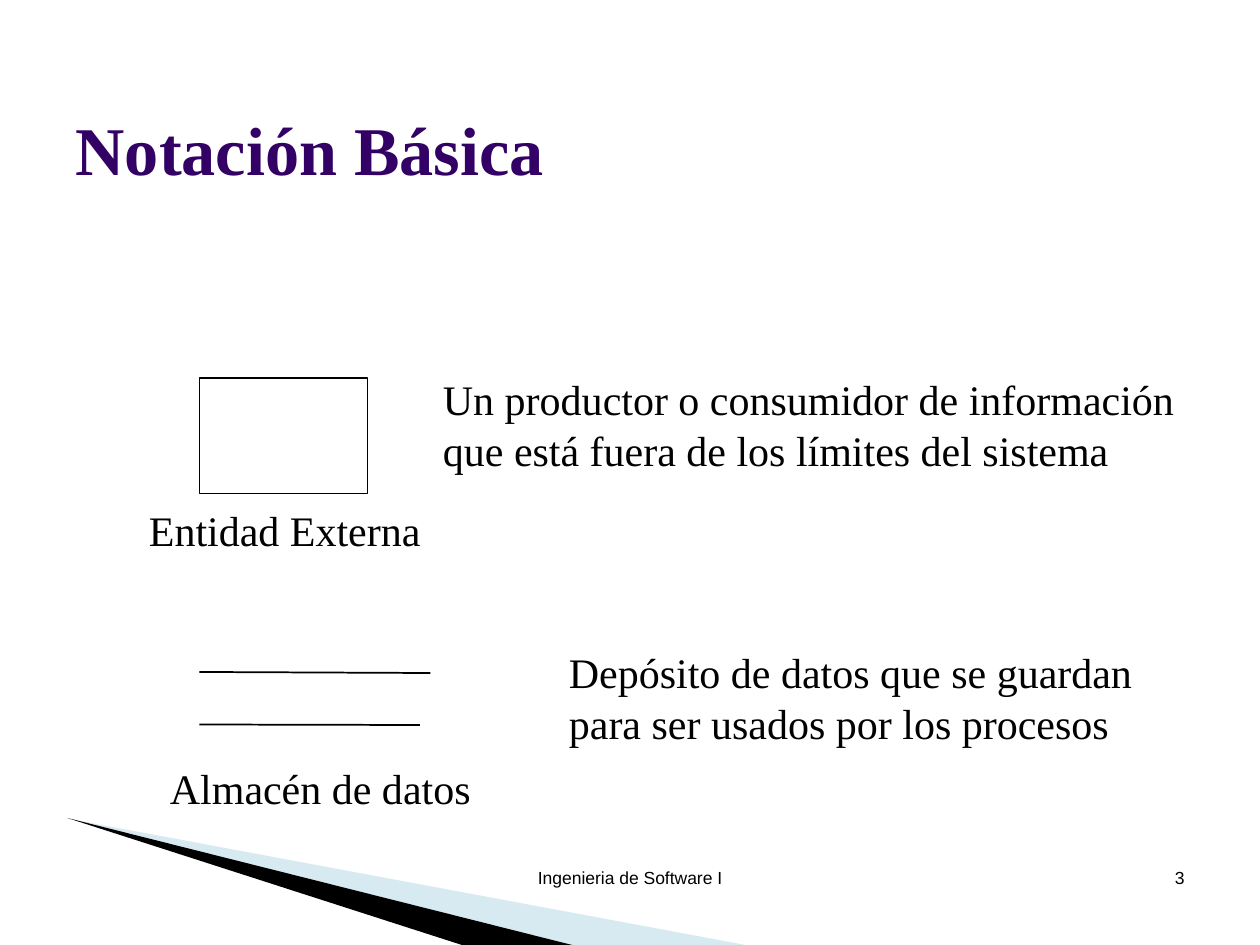
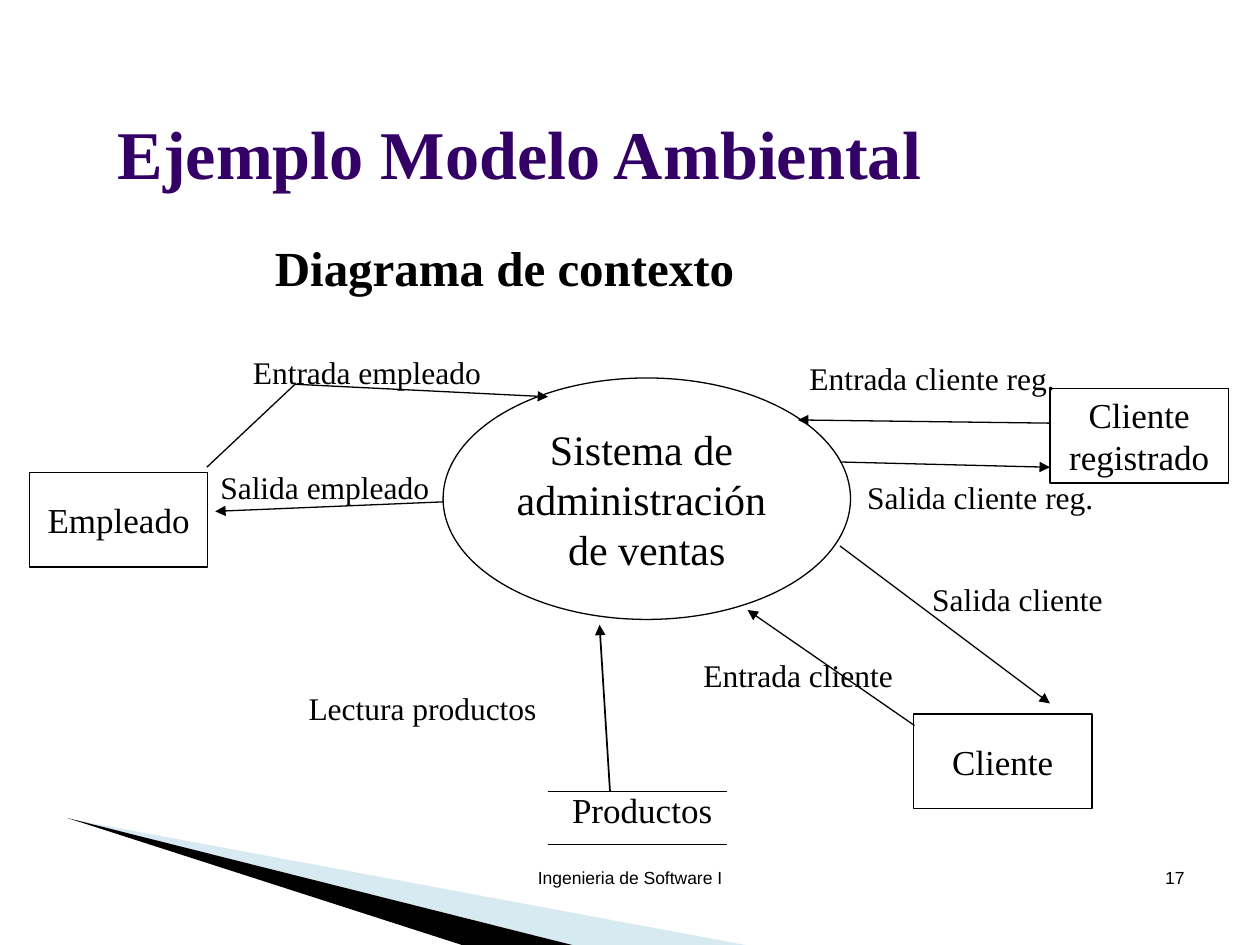
import pptx
import pptx.util
import pptx.dml.color
import pptx.enum.shapes
import pptx.enum.text
import pptx.oxml.ns
import lxml.etree

RGBColor = pptx.dml.color.RGBColor
SHAPE = pptx.enum.shapes.MSO_SHAPE
ALIGN = pptx.enum.text.PP_ALIGN
ANCHOR = pptx.enum.text.MSO_ANCHOR

BLACK = RGBColor(0x00, 0x00, 0x00)
PURPLE = RGBColor(0x33, 0x00, 0x66)
PALE_BLUE = RGBColor(0x9F, 0xCB, 0xDC)
SERIF, SANS = "Times New Roman", "Arial"
WIDTH, HEIGHT = pptx.util.Inches(10), pptx.util.Inches(7.5)
COLUMNS, ROWS = 120, 90
FOOTER = "Ingenieria de Software I"
BOX_SIZE = (17, 9)


def place(col, row):
    """Convert a grid column and row to lengths on the slide."""
    return round(col * WIDTH / COLUMNS), round(row * HEIGHT / ROWS)


def add_xml(parent, tag, **attributes):
    """Append a drawing element to parent."""
    return lxml.etree.SubElement(parent, pptx.oxml.ns.qn(tag), attributes)


def write(sp, text, size, font=SERIF, color=BLACK, bold=False, align=ALIGN.LEFT,
          anchor=ANCHOR.TOP, wrap=True):
    """Fill a shape with text in one format."""
    tf = sp.text_frame
    tf.text = text
    tf.word_wrap = wrap
    tf.auto_size = pptx.enum.text.MSO_AUTO_SIZE.NONE
    tf.vertical_anchor = anchor
    for p in tf.paragraphs:
        p.alignment = align
        for r in p.runs:
            r.font.name, r.font.size = font, pptx.util.Pt(size)
            r.font.bold = bold
            r.font.color.rgb = color


def add_text(s, text, col, row, cols, rows, size=24, **style):
    """Add a text box on the grid."""
    sp = s.shapes.add_textbox(*place(col, row), *place(cols, rows))
    write(sp, text, size, **style)


def add_outline(s, kind, col, row, cols, rows, text="", size=20, weight=0.75):
    """Add an unfilled shape with a black outline and centred text."""
    sp = s.shapes.add_shape(kind, *place(col, row), *place(cols, rows))
    sp.shadow.inherit = False
    sp.fill.background()
    set_line(sp, weight)
    if text:
        write(sp, text, size, align=ALIGN.CENTER, anchor=ANCHOR.MIDDLE, wrap=False)


def set_line(sp, weight, arrow=False):
    """Draw the line of a shape in black, with an arrowhead if asked."""
    sp.line.color.rgb = BLACK
    sp.line.width = pptx.util.Pt(weight)
    if arrow:
        ln = sp._element.spPr.find(pptx.oxml.ns.qn("a:ln"))
        add_xml(ln, "a:tailEnd", type="triangle")


def add_line(s, start, end, weight=0.75, arrow=False):
    """Add a straight line between two grid points."""
    straight = pptx.enum.shapes.MSO_CONNECTOR.STRAIGHT
    sp = s.shapes.add_connector(straight, *place(*start), *place(*end))
    set_line(sp, weight, arrow)
    add_xml(sp._element.spPr, "a:effectLst")


def add_outline_path(s, points, close):
    """Add a freeform through grid points."""
    start, *rest = [place(*point) for point in points]
    builder = s.shapes.build_freeform(*start)
    builder.add_line_segments(rest, close=close)
    sp = builder.convert_to_shape()
    sp.shadow.inherit = False
    return sp


def add_wedge(s, points, color, opacity=100):
    """Add one filled wedge of the corner decoration."""
    sp = add_outline_path(s, points, close=True)
    sp.fill.solid()
    sp.fill.fore_color.rgb = color
    sp.line.fill.background()
    if opacity < 100:
        fill = sp._element.spPr.find(pptx.oxml.ns.qn("a:solidFill"))
        add_xml(fill[0], "a:alpha", val=str(opacity * 1000))


def add_slide(prs, title, number, col, row, cols):
    """Add a slide with its title, corner wedges and footer."""
    s = prs.slides.add_slide(prs.slide_layouts[5])
    add_wedge(s, [(6.6, 78), (71, 90), (54.5, 90)], PALE_BLUE, 40)
    add_wedge(s, [(6.4, 77.9), (54.5, 90), (44, 90)], BLACK)
    add_text(s, FOOTER, 41, 82, 38, 6, 10, font=SANS, align=ALIGN.CENTER)
    add_text(s, number, 86, 82, 28, 6, 10, font=SANS, align=ALIGN.RIGHT)
    sp = s.shapes.title
    sp.left, sp.top = place(col, row)
    sp.width, sp.height = place(cols, 9)
    write(sp, title, 39, color=PURPLE, bold=True, anchor=ANCHOR.BOTTOM)
    return s


def add_notation(prs):
    """Build the slide with the basic notation."""
    s = add_slide(prs, "Notación Básica", "3", 6, 9.6, 99)
    add_outline(s, SHAPE.RECTANGLE, 19, 36, 16, 11, weight=1)
    add_line(s, (19, 64), (41, 64.1), 1)
    add_line(s, (19, 69), (40, 69.05), 1)
    for text, *box in [
        ("Entidad Externa", 13, 47.5, 33, 6),
        ("Un productor o consumidor de información que está fuera de los "
         "límites del sistema", 41, 35, 75, 10.8),
        ("Almacén de datos", 15, 72, 32, 6),
        ("Depósito de datos que se guardan\npara ser usados por los procesos",
         53, 61, 58, 10.8),
    ]:
        add_text(s, text, *box)


def add_context_diagram(prs):
    """Build the slide with the context diagram."""
    s = add_slide(prs, "Ejemplo Modelo Ambiental", "17", 10, 10, 102)
    add_text(s, "Diagrama de contexto", 25, 22, 55, 6.8, 28, bold=True)
    add_outline(s, SHAPE.OVAL, 42.2, 36, 38.8, 23,
                "Sistema de \nadministración \nde ventas", 24)
    for name, col, row in [("Empleado", 2.8, 45), ("Cliente", 87, 68),
                           ("Cliente\nregistrado", 100, 37)]:
        add_outline(s, SHAPE.RECTANGLE, col, row, *BOX_SIZE, name)
    for start, end in [
        ((100, 40.3), (76, 40)),
        ((80, 44), (100, 44.5)),
        ((80, 52), (100, 67)),
        ((87.1, 69.1), (71.2, 58.1)),
        ((42.2, 47.8), (20.5, 48.7)),
    ]:
        add_line(s, start, end, arrow=True)
    add_line(s, (58.1, 75.4), (57.1, 59.5), 1, arrow=True)
    entry = add_outline_path(s, [(19.7, 44.5), (28.1, 36.6), (52.2, 37.8)], close=False)
    entry.fill.background()
    set_line(entry, 0.75, arrow=True)
    for row in (75.4, 80.4):
        add_line(s, (52.2, row), (69.2, row))
    add_text(s, "Productos", 53.3, 74.5, 17, 5.3, 20)
    for label, col, row in [
        ("Entrada empleado", 22.9, 33),
        ("Salida empleado", 19.8, 44),
        ("Entrada cliente reg.", 75.9, 33.6),
        ("Salida cliente reg.", 81.4, 44.9),
        ("Entrada cliente", 65.8, 61.9),
        ("Salida cliente", 87.6, 54.7),
        ("Lectura productos", 28.2, 65),
    ]:
        add_text(s, label, col, row, 27, 4.8, 18)


def main():
    """Build and save the presentation."""
    prs = pptx.Presentation()
    prs.slide_width, prs.slide_height = WIDTH, HEIGHT
    add_notation(prs)
    add_context_diagram(prs)
    prs.save("out.pptx")


if __name__ == "__main__":
    main()
